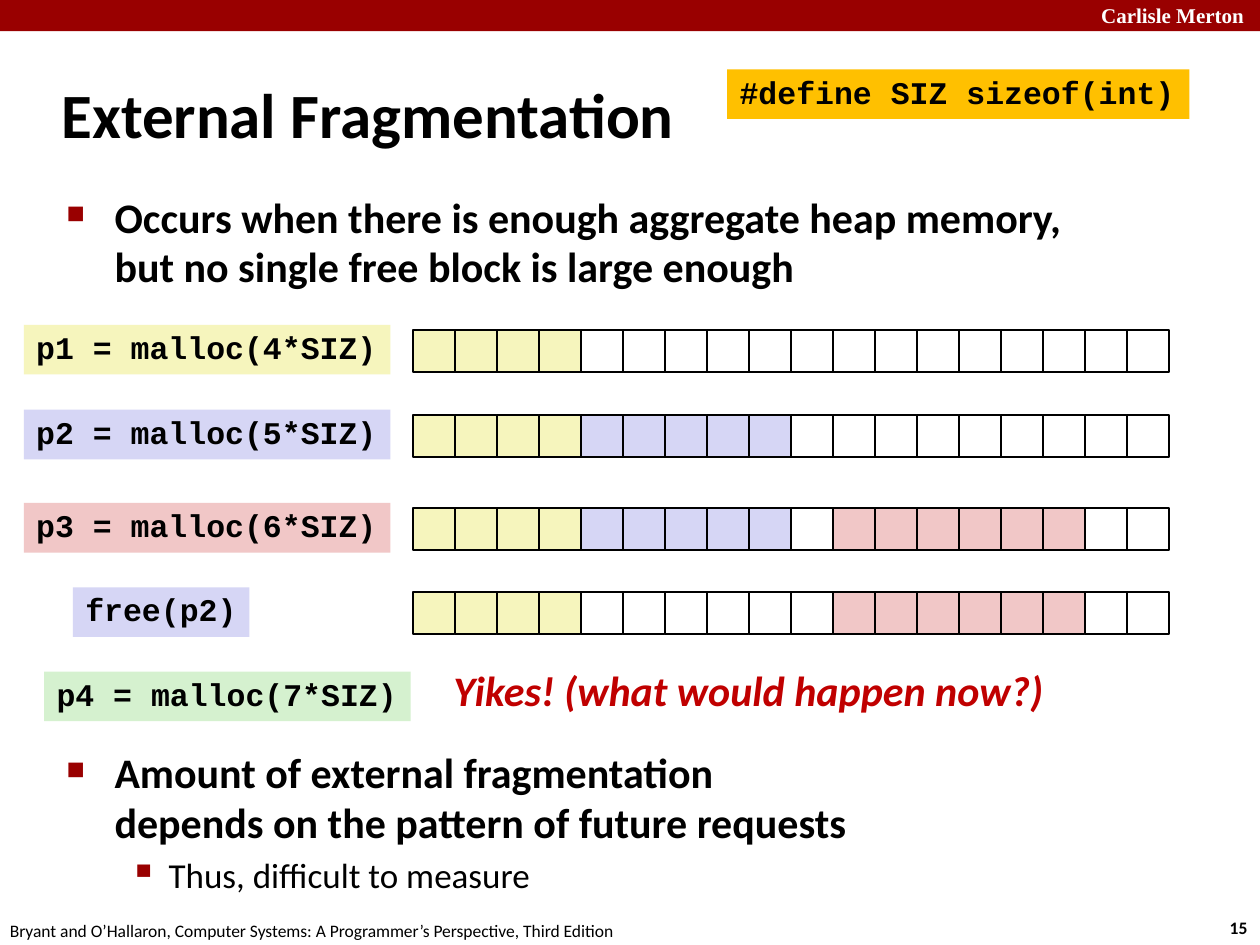
from dataclasses import dataclass

from lxml import etree
from pptx import Presentation
from pptx.dml.color import RGBColor
from pptx.enum.shapes import MSO_SHAPE
from pptx.enum.text import MSO_ANCHOR, PP_ALIGN
from pptx.oxml.ns import qn
from pptx.util import Cm, Pt

RECTANGLE = MSO_SHAPE.RECTANGLE
TOP, MIDDLE = MSO_ANCHOR.TOP, MSO_ANCHOR.MIDDLE
LEFT = PP_ALIGN.LEFT


@dataclass(frozen=True)
class Theme:
    # Colours
    black: str = "000000"
    white: str = "FFFFFF"
    crimson: str = "990000"
    alert: str = "C00000"
    amber: str = "FFC000"
    yellow: str = "F6F5BD"
    blue: str = "D6D6F5"
    pink: str = "F1C7C7"
    green: str = "D5F1CF"
    # Fonts
    sans: str = "Calibri"
    code: str = "Courier New"
    serif: str = "Times New Roman"
    # Type sizes in points
    title_size: int = 36
    body_size: int = 24
    sub_size: int = 20
    code_size: int = 18
    header_size: int = 12
    footer_size: int = 10


THEME = Theme()

# Heap strips: 18 equal cells across the strip
CELL_COUNT = 18
STRIP_LEFT, STRIP_WIDTH = 8.32, 15.24
CELL = STRIP_WIDTH / CELL_COUNT
LABEL_HEIGHT, LABEL_RISE = 1.0, 0.1

# Label, label left, label width, fill, strip top, runs of (cell colour, count)
HEAP_STEPS = [
    ("p1 = malloc(4*SIZ)", 0.48, 7.39, THEME.yellow, 6.65,
     [(THEME.yellow, 4), (THEME.white, 14)]),
    ("p2 = malloc(5*SIZ)", 0.48, 7.39, THEME.blue, 8.36,
     [(THEME.yellow, 4), (THEME.blue, 5), (THEME.white, 9)]),
    ("p3 = malloc(6*SIZ)", 0.48, 7.39, THEME.pink, 10.24,
     [(THEME.yellow, 4), (THEME.blue, 5), (THEME.white, 1), (THEME.pink, 6), (THEME.white, 2)]),
    ("free(p2)", 1.47, 3.56, THEME.blue, 11.94,
     [(THEME.yellow, 4), (THEME.white, 6), (THEME.pink, 6), (THEME.white, 2)]),
]


def format_runs(paragraph, size, font=THEME.sans, color=THEME.black, bold=False, italic=False):
    paragraph.alignment = LEFT
    for run in paragraph.runs:
        run.font.name = font
        run.font.size = Pt(size)
        run.font.bold = bold
        run.font.italic = italic
        run.font.color.rgb = RGBColor.from_string(color)


def add_rectangle(shapes, left, top, width, height, fill, line=None):
    shape = shapes.add_shape(RECTANGLE, Cm(left), Cm(top), Cm(width), Cm(height))
    shape.shadow.inherit = False
    shape.fill.solid()
    shape.fill.fore_color.rgb = RGBColor.from_string(fill)
    if line:
        shape.line.color.rgb = RGBColor.from_string(line)
        shape.line.width = Pt(1)
    else:
        shape.line.fill.background()
    return shape


def add_text(slide, text, left, top, width, height, size, anchor=TOP, **style):
    box = slide.shapes.add_textbox(Cm(left), Cm(top), Cm(width), Cm(height))
    frame = box.text_frame
    frame.word_wrap = False
    frame.vertical_anchor = anchor
    frame.text = text
    format_runs(frame.paragraphs[0], size, **style)


def add_code_label(slide, text, left, top, width, fill):
    label = add_rectangle(slide.shapes, left, top, width, LABEL_HEIGHT, fill)
    frame = label.text_frame
    frame.word_wrap = False
    frame.vertical_anchor = TOP
    frame.text = text
    paragraph = frame.paragraphs[0]
    paragraph.line_spacing = 0.94
    format_runs(paragraph, THEME.code_size, font=THEME.code, bold=True)


def add_heap_strip(slide, top, blocks):
    group = slide.shapes.add_group_shape()
    colors = [color for color, count in blocks for _ in range(count)]
    for index, color in enumerate(colors):
        add_rectangle(group.shapes, STRIP_LEFT + index * CELL, top, CELL, CELL,
                      color, line=THEME.black)


def set_bullet(paragraph, character, percent, margin, hanging):
    properties = paragraph._p.get_or_add_pPr()
    properties.set("marL", str(Cm(margin)))
    properties.set("indent", str(-Cm(hanging)))
    color = etree.SubElement(properties, qn("a:buClr"))
    etree.SubElement(color, qn("a:srgbClr"), val=THEME.crimson)
    etree.SubElement(properties, qn("a:buSzPct"), val=str(percent * 1000))
    etree.SubElement(properties, qn("a:buChar"), char=character)


def add_bullets(slide, top, height, items):
    box = slide.shapes.add_textbox(Cm(1.09), Cm(top), Cm(21.95), Cm(height))
    frame = box.text_frame
    frame.word_wrap = True
    for index, (text, level) in enumerate(items):
        paragraph = frame.add_paragraph() if index else frame.paragraphs[0]
        paragraph.text = text
        paragraph.level = level
        paragraph.line_spacing = 0.98
        size = THEME.sub_size if level else THEME.body_size
        paragraph.space_before = Pt(0.2 * size)
        format_runs(paragraph, size, bold=level == 0)
        if level:
            set_bullet(paragraph, "▪", 110, 2.06, 0.79)
        else:
            set_bullet(paragraph, "■", 60, 0.97, 0.97)


def main():
    presentation = Presentation()
    presentation.slide_width, presentation.slide_height = Cm(25.4), Cm(19.05)
    slide = presentation.slides.add_slide(presentation.slide_layouts[6])

    # Header band and footer
    add_rectangle(slide.shapes, 0, 0, 25.4, 0.63, THEME.crimson)
    add_text(slide, "Carlisle Merton", 21.95, -0.08, 3.63, 0.76, THEME.header_size,
             font=THEME.serif, color=THEME.white, bold=True)
    add_text(slide, "15", 24.54, 18.36, 0.94, 0.69, THEME.footer_size, bold=True)
    add_text(slide, "Bryant and O’Hallaron, Computer Systems: "
             "A Programmer’s Perspective, Third Edition",
             -0.05, 18.42, 12.9, 0.69, THEME.footer_size)

    # Title and macro definition
    add_text(slide, "External Fragmentation", 0.99, 1.22, 21.08, 2.11, THEME.title_size,
             anchor=MIDDLE, bold=True)
    add_code_label(slide, "#define SIZ sizeof(int)", 14.66, 1.4, 9.32, THEME.amber)

    # Body points above and below the heap
    add_bullets(slide, 3.78, 2.3, [
        ("Occurs when there is enough aggregate heap memory, "
         "but no single free block is large enough", 0)])
    add_bullets(slide, 14.98, 3.3, [
        ("Amount of external fragmentation\vdepends on the pattern of future requests", 0),
        ("Thus, difficult to measure", 1)])

    # Heap state after each call
    for text, left, width, fill, top, blocks in HEAP_STEPS:
        add_code_label(slide, text, left, top - LABEL_RISE, width, fill)
        add_heap_strip(slide, top, blocks)

    # The request that cannot be met
    add_code_label(slide, "p4 = malloc(7*SIZ)", 0.89, 13.54, 7.39, THEME.green)
    add_text(slide, "Yikes! (what would happen now?)", 8.89, 13.28, 12.5, 1.27,
             THEME.body_size, color=THEME.alert, bold=True, italic=True)

    presentation.save("out.pptx")


if __name__ == "__main__":
    main()
